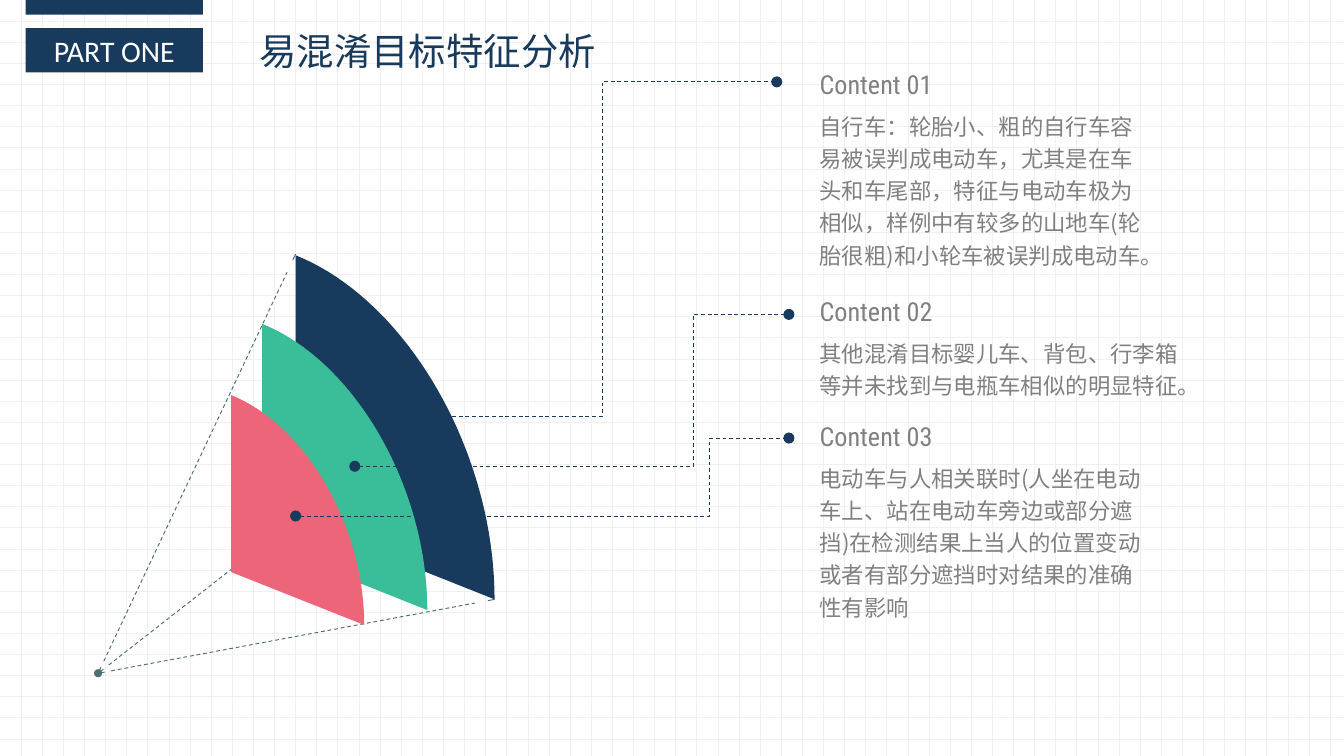
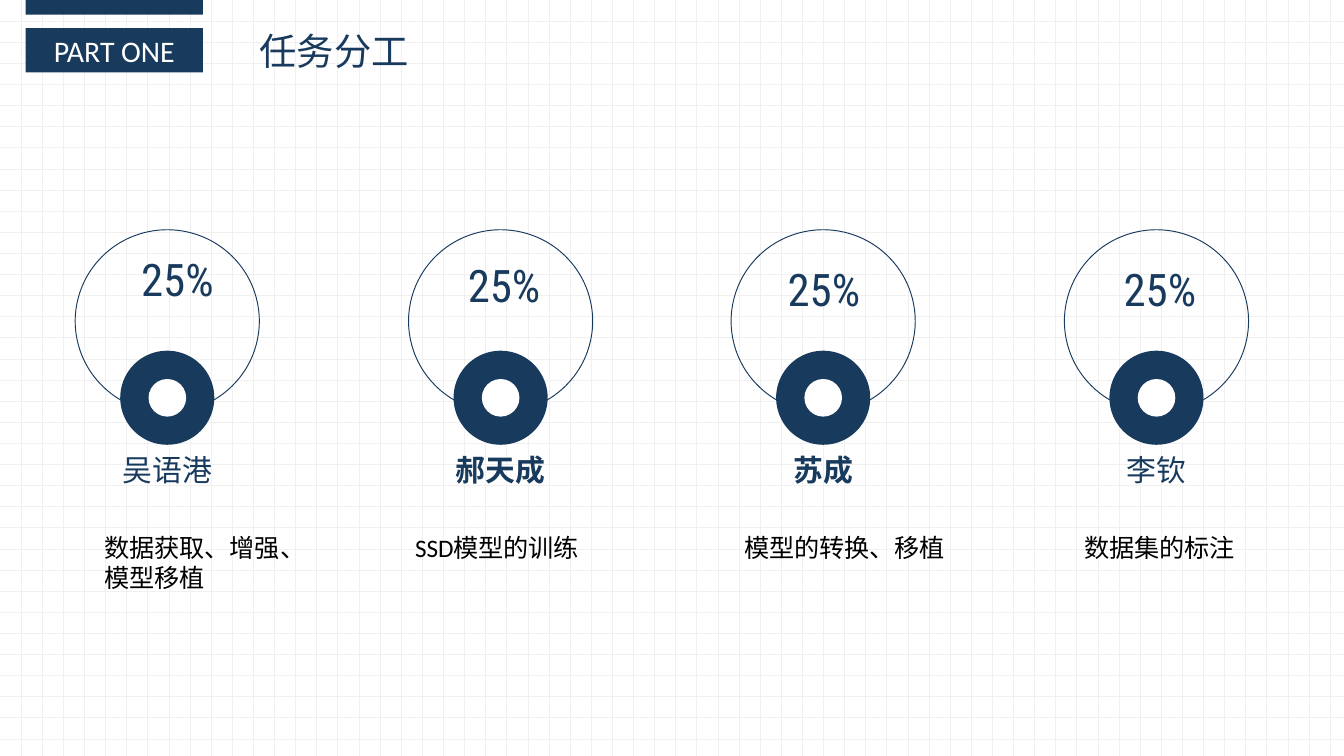
from collections import namedtuple
from math import hypot

from lxml import etree
from pptx import Presentation
from pptx.dml.color import RGBColor
from pptx.enum.dml import MSO_LINE, MSO_PATTERN
from pptx.enum.shapes import MSO_CONNECTOR, MSO_SHAPE
from pptx.enum.text import MSO_ANCHOR, MSO_AUTO_SIZE, PP_ALIGN
from pptx.oxml.ns import qn
from pptx.util import Inches, Pt

RECT, OVAL = MSO_SHAPE.RECTANGLE, MSO_SHAPE.OVAL
STRAIGHT, ELBOW = MSO_CONNECTOR.STRAIGHT, MSO_CONNECTOR.ELBOW
LEFT, CENTER = PP_ALIGN.LEFT, PP_ALIGN.CENTER
TOP, MIDDLE = MSO_ANCHOR.TOP, MSO_ANCHOR.MIDDLE
DASH = MSO_LINE.DASH
DOT_GRID = MSO_PATTERN.DOTTED_GRID

NAVY = RGBColor(0x18, 0x3A, 0x5D)
GREEN = RGBColor(0x3A, 0xBE, 0x99)
PINK = RGBColor(0xED, 0x65, 0x79)
SLATE = RGBColor(0x50, 0x6C, 0x74)
GRAY = RGBColor(0x80, 0x80, 0x80)
GRID_GRAY = RGBColor(0xF0, 0xF0, 0xF0)
WHITE = RGBColor(0xFF, 0xFF, 0xFF)
BLACK = RGBColor(0, 0, 0)

CJK, LATIN, CONDENSED = "Noto Sans CJK SC", "Calibri", "Roboto Condensed"

# The slide is a grid of 100 columns by 56.25 rows
WIDTH, HEIGHT = Inches(10), Inches(5.625)
COLUMN, ROW = WIDTH / 100, HEIGHT / 56.25

Box = namedtuple("Box", "x y w h")
Style = namedtuple("Style", "font size color bold", defaults=[False])

TITLE_STYLE = Style(CJK, 20, NAVY)
PART_STYLE = Style(LATIN, 16, WHITE)
HEADING_STYLE = Style(CONDENSED, 14, GRAY)
BODY_STYLE = Style(CJK, 12, GRAY)
SHARE_STYLE = Style(CONDENSED, 24, NAVY)
TASK_STYLE = Style(LATIN, 13.5, BLACK)

# Wedge outline as shares of its box: corner, then a Bezier arc
WEDGE_CORNER = (0, 0.77)
WEDGE_ARC = ((0, 0), (0.56, 0.13), (1, 0.57), (1, 1))
ARC_STEPS = 40


def point(x, y):
    return round(x * COLUMN), round(y * ROW)


def within(box, x, y, w, h):
    """A box whose corner is counted from the corner of another."""
    return Box(box.x + x, box.y + y, w, h)


def frame(box):
    return *point(box.x, box.y), *point(box.w, box.h)


def write(text_frame, lines, style, align=LEFT, anchor=TOP, spacing=None, grow=False):
    text_frame.word_wrap = True
    text_frame.vertical_anchor = anchor
    text_frame.auto_size = MSO_AUTO_SIZE.SHAPE_TO_FIT_TEXT if grow else MSO_AUTO_SIZE.NONE
    for index, line in enumerate(lines):
        paragraph = text_frame.add_paragraph() if index else text_frame.paragraphs[0]
        paragraph.alignment = align
        if spacing:
            paragraph.line_spacing = spacing
        run = paragraph.add_run()
        run.text = line
        run.font.name = style.font
        run.font.size = Pt(style.size)
        run.font.bold = style.bold
        run.font.color.rgb = style.color
        # Chinese characters take the East Asian font
        latin = run.font._element.find(qn("a:latin"))
        east_asian = etree.Element(qn("a:ea"), typeface=CJK)
        latin.addnext(east_asian)


def add_text(shapes, box, lines, style, **layout):
    write(shapes.add_textbox(*frame(box)).text_frame, lines, style, **layout)


def add_shape(shapes, kind, box, fill=None, outline=None):
    shape = shapes.add_shape(kind, *frame(box))
    paint(shape, fill, outline)
    return shape


def paint(shape, fill, outline=None):
    shape.shadow.inherit = False
    if fill is None:
        shape.fill.background()
    else:
        shape.fill.solid()
        shape.fill.fore_color.rgb = fill
    if outline is None:
        shape.line.fill.background()
    else:
        shape.line.color.rgb = outline
        shape.line.width = Pt(0.5)


def add_line(shapes, kind, start, end, color, dashed):
    connector = shapes.add_connector(kind, *point(*start), *point(*end))
    connector.line.color.rgb = color
    connector.line.width = Pt(0.5)
    if dashed:
        connector.line.dash_style = DASH
    etree.SubElement(connector._element.spPr, qn("a:effectLst"))
    return connector


def add_header(slide, title):
    bar = Box(1.9, 0, 13.2, 5.4)
    # Bands at the top left
    add_shape(slide.shapes, RECT, within(bar, 0, 0, bar.w, 1.1), NAVY)
    part = add_shape(slide.shapes, RECT, within(bar, 0, 2.1, bar.w, 3.3), NAVY)
    write(part.text_frame, ["PART ONE"], PART_STYLE, align=CENTER, anchor=MIDDLE)
    # Title
    heading = slide.shapes.title
    heading.left, heading.top, heading.width, heading.height = frame(
        within(bar, 16.4, 1.6, 49.7, 4.4))
    write(heading.text_frame, [title], TITLE_STYLE, grow=True)


def add_ray(shapes, apex, tip):
    """A dashed ray with a short solid stroke at each end."""
    dx, dy = tip[0] - apex[0], tip[1] - apex[1]
    stroke = 0.5 / hypot(dx, dy)
    for begin, end, dashed in ((1 - stroke, 1, False),
                               (2 * stroke, 1 - 3 * stroke, True),
                               (0, stroke, False)):
        add_line(shapes, STRAIGHT,
                 (apex[0] + begin * dx, apex[1] + begin * dy),
                 (apex[0] + end * dx, apex[1] + end * dy), SLATE, dashed)


def add_wedge(shapes, box, color):
    def spot(share):
        return point(box.x + share[0] * box.w, box.y + share[1] * box.h)

    arc = []
    for step in range(ARC_STEPS + 1):
        t = step / ARC_STEPS
        weights = ((1 - t) ** 3, 3 * t * (1 - t) ** 2, 3 * t * t * (1 - t), t ** 3)
        arc.append([sum(w * p[axis] for w, p in zip(weights, WEDGE_ARC))
                    for axis in (0, 1)])
    outline = shapes.build_freeform(*spot(WEDGE_CORNER))
    outline.add_line_segments([spot(share) for share in arc], close=True)
    paint(outline.convert_to_shape(), color)


def add_fan(slide, box):
    shapes = slide.shapes.add_group_shape().shapes
    apex = (box.x + 0.3, box.y + 31.2)
    for x, y in ((29.8, 25.7), (15, 0), (14.9, 19.8)):
        add_ray(shapes, apex, (box.x + x, box.y + y))
    for wedge, color in (((15, 0.1, 14.8, 25.6), NAVY),
                         ((12.5, 5.2, 12.3, 21.3), GREEN),
                         ((10.2, 10.5, 9.9, 17.1), PINK)):
        add_wedge(shapes, within(box, *wedge), color)
    add_shape(shapes, OVAL, Box(apex[0] - 0.3, apex[1] - 0.3, 0.6, 0.6), SLATE)


def add_callout(slide, start, end, bend):
    """A dashed elbow with a dot at both ends; bend is a share of its width."""
    elbow = add_line(slide.shapes, ELBOW, start, end, NAVY, True)
    adjustments = elbow._element.spPr.find(qn("a:prstGeom")).get_or_add_avLst()
    etree.SubElement(adjustments, qn("a:gd"), name="adj1", fmla=f"val {round(bend * 100000)}")
    line = elbow._element.spPr.find(qn("a:ln"))
    for dot in ("a:headEnd", "a:tailEnd"):
        etree.SubElement(line, qn(dot), type="oval")


def add_content(slide, box, heading, body):
    shapes = slide.shapes.add_group_shape().shapes
    add_text(shapes, within(box, 0, 0, 23.9, 3.3), [heading], HEADING_STYLE)
    add_text(shapes, within(box, 0, 2.9, box.w, box.h - 2.9), [body], BODY_STYLE,
             spacing=1.2, grow=True)


def features_slide(slide):
    add_header(slide, "易混淆目标特征分析")
    add_fan(slide, Box(7, 18.9, 29.8, 31.5))
    for start, end, bend in (((31.8, 31), (57.8, 6.1), 0.5),
                             ((26.4, 34.7), (58.7, 23.4), 0.78),
                             ((22, 38.4), (58.7, 32.6), 0.84)):
        add_callout(slide, start, end, bend)
    contents = (
        (4.6, 26.5, 15.8, "自行车：轮胎小、粗的自行车容易被误判成电动车，尤其是在车头和车尾部，"
                          "特征与电动车极为相似，样例中有较多的山地车(轮胎很粗)和小轮车被误判成电动车。"),
        (21.5, 28.7, 8.5, "其他混淆目标婴儿车、背包、行李箱等并未找到与电瓶车相似的明显特征。"),
        (30.8, 26.5, 15.8, "电动车与人相关联时(人坐在电动车上、站在电动车旁边或部分遮挡)"
                           "在检测结果上当人的位置变动或者有部分遮挡时对结果的准确性有影响"),
    )
    for number, (top, width, height, body) in enumerate(contents, 1):
        add_content(slide, Box(60, top, width, height), f"Content {number:02}", body)


def add_member(slide, box, name, bold, share_at, task_box, task):
    """Ring, badge, share, name and task of one team member."""
    shapes = slide.shapes
    add_shape(shapes, OVAL, within(box, 0, 0, box.w, 13.6), outline=NAVY)
    badge = within(box, (box.w - 7) / 2, 9, 7, 7)
    add_shape(shapes, OVAL, badge, NAVY)
    add_shape(shapes, OVAL, within(badge, 2.1, 2.1, 2.8, 2.8), WHITE)
    add_text(shapes, within(box, *share_at, 11.2, 5), ["25%"], SHARE_STYLE,
             align=CENTER, anchor=MIDDLE)
    add_text(shapes, within(box, (box.w - 18.9) / 2, 16, 18.9, 3.7), [name],
             Style(CONDENSED, 16, NAVY, bold), align=CENTER, anchor=MIDDLE, grow=True)
    add_text(shapes, within(box, *task_box), task, TASK_STYLE, grow=True)


def tasks_slide(slide):
    add_header(slide, "任务分工")
    members = (
        (5.6, "吴语港", False, (2, 1.1), (1.2, 22, 17.2, 5.6), ["数据获取、增强、", "模型移植"]),
        (30.4, "郝天成", True, (1.5, 1.6), (-0.5, 22, 14.4, 3.3), ["SSD模型的训练"]),
        (54.4, "苏成", True, (1.3, 1.9), (0, 22, 17.3, 3.3), ["模型的转换、移植"]),
        (79.2, "李钦", False, (1.5, 1.9), (0.5, 22, 13.4, 3.3), ["数据集的标注"]),
    )
    for left, *details in members:
        add_member(slide, Box(left, 17.1, 13.7, 27.6), *details)


def main():
    deck = Presentation()
    deck.slide_width, deck.slide_height = WIDTH, HEIGHT
    # Shared grid background
    backdrop = deck.slide_master.background.fill
    backdrop.patterned()
    backdrop.pattern = DOT_GRID
    backdrop.fore_color.rgb = GRID_GRAY
    backdrop.back_color.rgb = WHITE
    title_only = deck.slide_layouts[5]
    for build in (features_slide, tasks_slide):
        build(deck.slides.add_slide(title_only))
    deck.save("out.pptx")


if __name__ == "__main__":
    main()
